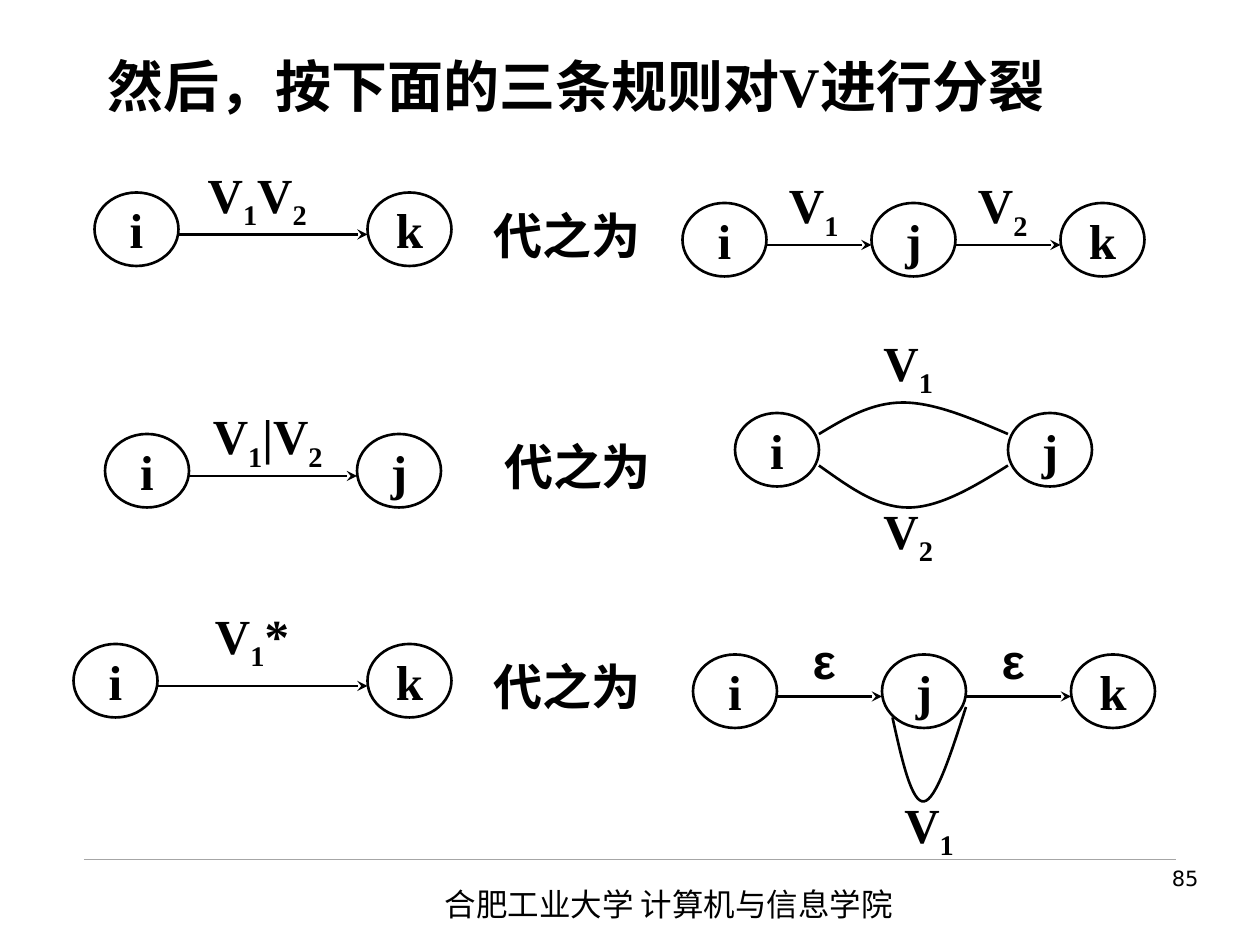
"""Build the slide on the three rules for splitting V."""
from itertools import groupby

from lxml.etree import SubElement
from pptx import Presentation
from pptx.dml.color import RGBColor
from pptx.enum.shapes import MSO_CONNECTOR, MSO_SHAPE
from pptx.enum.text import MSO_ANCHOR, MSO_AUTO_SIZE, PP_ALIGN
from pptx.oxml.ns import qn
from pptx.util import Pt

INK, RULE = "000000", "A6A6A6"
ROMAN, HAN = "Times New Roman", "Noto Sans CJK SC"
WIDE, TALL = 48, 42


def write(shape, text, size=28, face=ROMAN, bold=True, align=PP_ALIGN.CENTER,
          anchor=MSO_ANCHOR.MIDDLE, wrap=False, sub=True):
    frame = shape.text_frame
    look = {"word_wrap": wrap, "auto_size": MSO_AUTO_SIZE.NONE, "vertical_anchor": anchor}
    for key, value in look.items():
        setattr(frame, key, value)
    para = frame.paragraphs[0]
    para.alignment = align
    for low, part in groupby(text, lambda sign: sub and sign.isdigit()):
        run = para.add_run()
        run.text = "".join(part)
        for key, value in {"size": Pt(size), "name": face, "bold": bold}.items():
            setattr(run.font, key, value)
        run.font.color.rgb = RGBColor.from_string(INK)
        props = run._r.get_or_add_rPr()
        SubElement(props, qn("a:ea"), typeface=HAN)
        if low:
            props.set("baseline", "-25000")


def stroke(shape, color=INK, width=1.5):
    shape.line.color.rgb = RGBColor.from_string(color)
    shape.line.width = Pt(width)
    props = shape._element.spPr
    if props.find(qn("a:effectLst")) is None:
        SubElement(props, qn("a:effectLst"))


deck = Presentation()
deck.slide_width, deck.slide_height = Pt(720), Pt(540)
slide = deck.slides.add_slide(deck.slide_layouts[5])
shapes = slide.shapes

title = shapes.title
place = {"left": 54, "top": 26, "width": 612, "height": 54}
for key, value in place.items():
    setattr(title, key, Pt(value))
write(title, "然后，按下面的三条规则对V进行分裂", size=32, align=PP_ALIGN.JUSTIFY,
      anchor=MSO_ANCHOR.TOP, wrap=True)

rule = shapes.add_connector(MSO_CONNECTOR.STRAIGHT, Pt(48), Pt(491), Pt(672), Pt(491))
stroke(rule, RULE, 0.25)
foot = shapes.add_textbox(Pt(247), Pt(502), Pt(340), Pt(29))
write(foot, "合肥工业大学 计算机与信息学院", size=18, face=HAN, bold=False,
      align=PP_ALIGN.LEFT, anchor=MSO_ANCHOR.TOP, wrap=True)
page = shapes.add_textbox(Pt(536), Pt(491), Pt(156), Pt(37))
write(page, "85", size=12, face="DejaVu Sans", bold=False, align=PP_ALIGN.RIGHT,
      anchor=MSO_ANCHOR.TOP, wrap=True, sub=False)

chains = [
    (54, 110, 156, "ik", ["V1V2"]),
    (390, 116, 108, "ijk", ["V1", "V2"]),
    (60, 248, 144, "ij", ["V1|V2"]),
    (420, 236, 156, "ij", []),
    (42, 368, 168, "ik", ["V1*"]),
    (396, 374, 108, "ijk", ["ε", "ε"]),
]
notes = [(486, 188, "V1"), (486, 284, "V2"), (498, 452, "V1")]

for left, top, step, names, marks in chains:
    for i, name in enumerate(names):
        node = shapes.add_shape(MSO_SHAPE.OVAL, Pt(left + i * step), Pt(top),
                                Pt(WIDE), Pt(TALL))
        node.shadow.inherit = False
        node.fill.background()
        stroke(node)
        write(node, name)
    for i, mark in enumerate(marks):
        start = left + i * step
        arrow = shapes.add_connector(MSO_CONNECTOR.STRAIGHT, Pt(start + WIDE), Pt(top + 24),
                                     Pt(start + step), Pt(top + 24))
        stroke(arrow)
        SubElement(arrow.line._get_or_add_ln(), qn("a:tailEnd"), type="stealth")
        shift = 42 if step == 108 else 69 if mark == "V1*" else 60
        rise = 24 if mark == "V1*" else 18
        notes.append((start + shift, top - rise, mark))

for left, top, mark in notes:
    box = shapes.add_textbox(Pt(left), Pt(top), Pt(66), Pt(42))
    write(box, mark, face="Arial" if mark == "ε" else ROMAN)

for left, top in [(282, 110), (288, 242), (282, 368)]:
    box = shapes.add_textbox(Pt(left), Pt(top), Pt(84), Pt(48))
    write(box, "代之为")

curves = [
    [(468, 248), (483, 239), (498, 230), (516, 230), (534, 230), (555, 239), (576, 248)],
    [(468, 266), (485, 278), (501, 290), (519, 290), (537, 290), (557, 278), (576, 266)],
    [(552, 404), (543.5, 430.5), (535, 457), (528, 458), (521, 459), (515.5, 435), (510, 410)],
]
for curve in curves:
    first, *rest = [(Pt(x), Pt(y)) for x, y in curve]
    pen = shapes.build_freeform(*first)
    pen.add_line_segments(rest, close=False)
    arc = pen.convert_to_shape()
    arc.shadow.inherit = False
    arc.fill.background()
    stroke(arc)
    track = arc._element.find(".//" + qn("a:path"))
    parts = track.findall(qn("a:lnTo"))
    for i in range(0, len(parts), 3):
        bend = SubElement(track, qn("a:cubicBezTo"))
        for part in parts[i:i + 3]:
            bend.append(part[0])
            track.remove(part)

deck.save("out.pptx")
